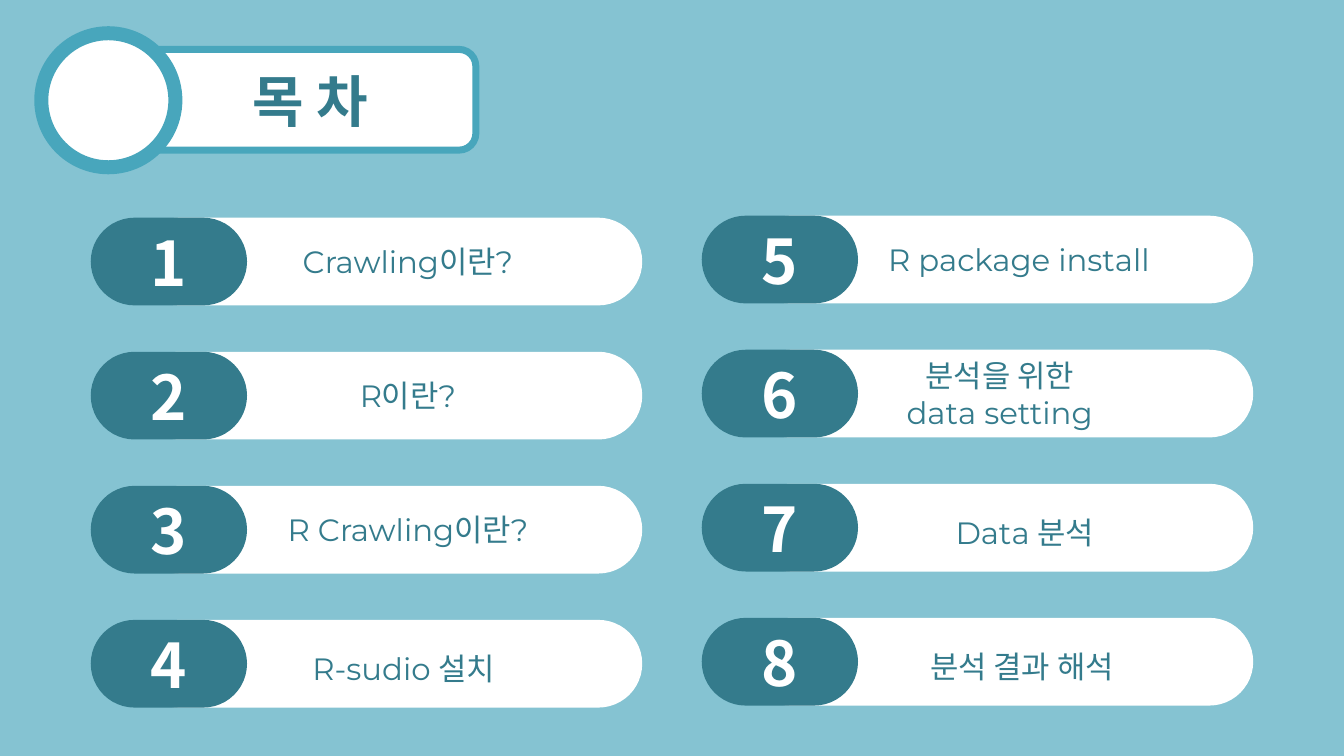
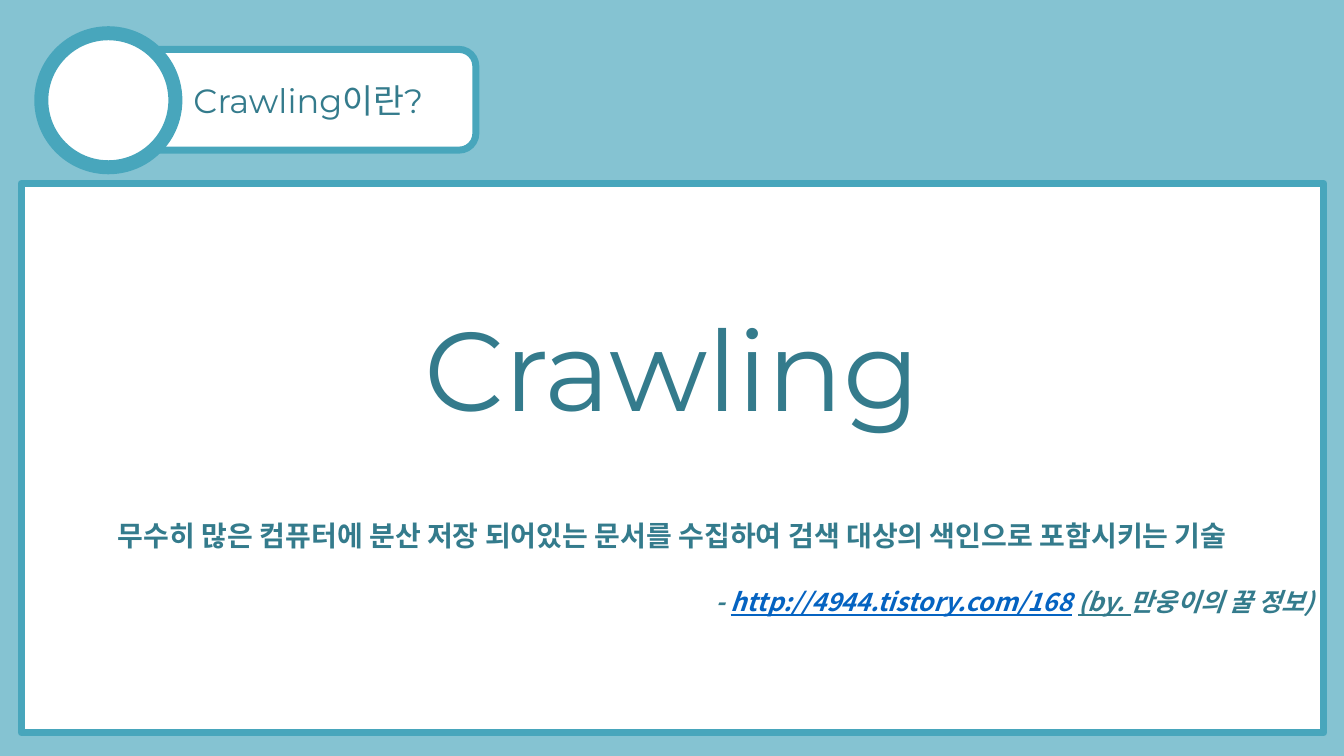
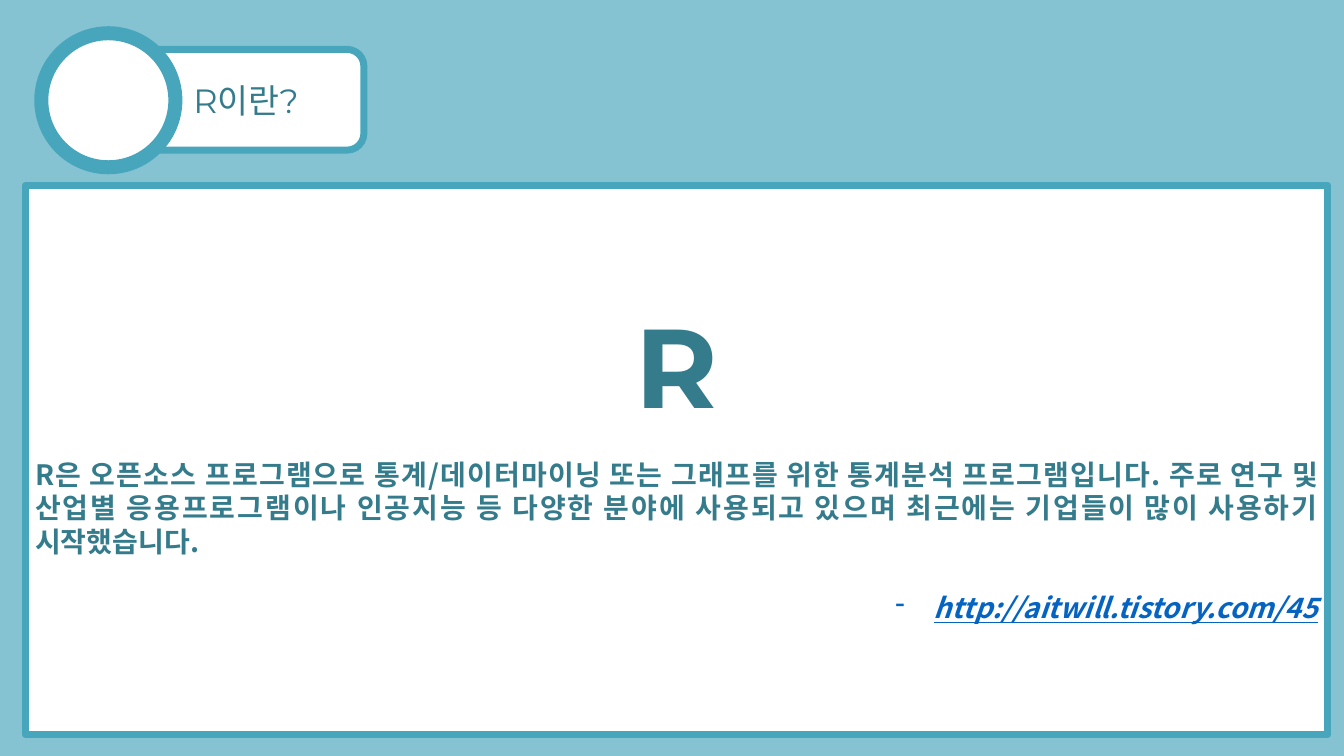
from dataclasses import dataclass

from lxml import etree
from pptx import Presentation
from pptx.dml.color import RGBColor
from pptx.enum.shapes import MSO_SHAPE
from pptx.enum.text import MSO_ANCHOR, PP_ALIGN
from pptx.oxml.ns import qn
from pptx.util import Inches, Pt

RECT, ROUND, OVAL = MSO_SHAPE.RECTANGLE, MSO_SHAPE.ROUNDED_RECTANGLE, MSO_SHAPE.OVAL
TAB = MSO_SHAPE.FLOWCHART_ALTERNATE_PROCESS
MIDDLE = MSO_ANCHOR.MIDDLE
LEFT, CENTER, RIGHT, JUSTIFY = PP_ALIGN.LEFT, PP_ALIGN.CENTER, PP_ALIGN.RIGHT, PP_ALIGN.JUSTIFY


@dataclass(frozen=True)
class Theme:
    back: str = "85C3D2"
    white: str = "FFFFFF"
    edge: str = "48A6BC"
    teal: str = "347B8C"
    link: str = "0563C1"
    latin: str = "Montserrat"
    korean: str = "Noto Sans CJK KR"
    hero: int = 80
    number: int = 44
    contents: int = 40
    heading: int = 24
    item: int = 22
    body: int = 20
    source: int = 18
    leading: int = 24


T = Theme()
ITEM = dict(size=T.item, name=T.latin)
BODY = dict(size=T.body, name=T.korean, bold=True)
SOURCE = dict(BODY, italic=True)
LINK = dict(SOURCE, color=T.link, underline=True)


def add_run(p, text, color=T.teal, **formats):
    r = p.add_run()
    r.text = text
    r.font.color.rgb = RGBColor.from_string(color)
    for key, value in formats.items():
        setattr(r.font, key, Pt(value) if key == "size" else value)
    etree.SubElement(r.font._element, qn("a:ea"), typeface=T.korean)


def write(sp, paragraphs, shift=0, drop=0):
    tf = sp.text_frame
    formats = dict(word_wrap=True, vertical_anchor=MIDDLE,
                   margin_left=Inches(0.1 + shift), margin_top=Inches(0.05 + drop))
    for key, value in formats.items():
        setattr(tf, key, value)
    for i, (formats, runs) in enumerate(paragraphs):
        p = tf.add_paragraph() if i else tf.paragraphs[0]
        for key, value in formats.items():
            setattr(p, key, value)
        for text, style in runs:
            add_run(p, text, **style)
    return tf


def add_box(s, kind, at, fill=T.white, line=0):
    sp = s.shapes.add_shape(kind, *map(Inches, at))
    sp.shadow.inherit = False
    sp.fill.solid()
    sp.fill.fore_color.rgb = RGBColor.from_string(fill)
    if line:
        sp.line.color.rgb = RGBColor.from_string(T.edge)
        sp.line.width = Pt(line)
    else:
        sp.line.fill.background()
    return sp


def add_slide(prs, tab_width):
    s = prs.slides.add_slide(prs.slide_layouts[6])
    s.background.fill.solid()
    s.background.fill.fore_color.rgb = RGBColor.from_string(T.back)
    tab = add_box(s, TAB, (0.98, 0.49, tab_width, 1), line=5)
    add_box(s, OVAL, (0.41, 0.33, 1.33, 1.33), line=10)
    return s, tab


def add_heading(s, text, width):
    sp = s.shapes.add_textbox(*map(Inches, (1.82, 0.74, width, 0.5)))
    style = dict(size=T.heading, name=T.latin)
    write(sp, [(dict(alignment=LEFT), [(text, style)])]).word_wrap = False


def add_panel(s, left, top, paragraphs):
    sp = add_box(s, RECT, (left, top, 12.92, 5.45), line=5)
    return write(sp, paragraphs)


def para(runs, alignment, before):
    return dict(alignment=alignment, space_before=Pt(before), line_spacing=Pt(T.leading)), runs


def hero(text, bold):
    return dict(alignment=CENTER), [(text, dict(size=T.hero, name=T.latin, bold=bold))]


def add_entry(s, left, top, number, lines, shift, drop):
    bar = add_box(s, ROUND, (left + 0.44, top, 5.03, 0.87))
    badge = add_box(s, ROUND, (left, top, 1.55, 0.87), T.teal)
    for sp in (bar, badge):
        sp.adjustments[0] = 0.5
    write(bar, [(dict(alignment=CENTER), [(line, ITEM)]) for line in lines], shift, drop)
    style = dict(size=T.number, name=T.korean, bold=True, color=T.white)
    write(badge, [(dict(alignment=CENTER), [(str(number), style)])])


def add_dash(p):
    pPr = p._p.get_or_add_pPr()
    pPr.set("marL", str(Inches(0.38)))
    pPr.set("indent", str(-Inches(0.38)))
    etree.SubElement(pPr, qn("a:buChar"), char="-")


def contents_slide(prs):
    s, tab = add_slide(prs, 3.74)
    style = dict(size=T.contents, name=T.korean, bold=True)
    write(tab, [(dict(alignment=CENTER), [("목 차", style)])], shift=0.46)
    entries = [
        (["Crawling이란?"], 0.38, 0),
        (["R이란?"], 0.38, 0),
        (["R Crawling이란?"], 0.38, 0),
        (["R-sudio 설치"], 0.3, 0.08),
        (["R package install"], 0.38, 0),
        (["분석을 위한", "data setting"], 0, 0),
        (["Data 분석"], 0.5, 0.08),
        (["분석 결과 해석"], 0.44, 0.08),
    ]
    columns = [(0.9, 2.16), (6.96, 2.14)]
    for i, entry in enumerate(entries):
        col, row = divmod(i, 4)
        left, top = columns[col]
        add_entry(s, left, top + row * 1.33, i + 1, *entry)


def crawling_slide(prs):
    s, _ = add_slide(prs, 3.74)
    small = dict(SOURCE, size=T.source)
    add_panel(s, 0.21, 1.82, [
        hero("Crawling", False),
        para([("무수히 많은 컴퓨터에 분산 저장 되어있는 문서를 수집하여 "
               "검색 대상의 색인으로 포함시키는 기술", BODY)], CENTER, 60),
        para([("- ", small),
              ("http://4944.tistory.com/168", dict(LINK, size=T.source)),
              (" ", small),
              ("(by. ", dict(small, underline=True)),
              ("만웅이의 꿀 정보)", small)], RIGHT, 22),
    ])
    add_heading(s, "Crawling이란?", 2.74)


def r_slide(prs):
    s, _ = add_slide(prs, 2.63)
    tf = add_panel(s, 0.25, 1.84, [
        hero("R", True),
        para([("R은 오픈소스 프로그램으로 통계/데이터마이닝 또는 그래프를 위한 "
               "통계분석 프로그램입니다. 주로 연구 및 산업별 응용프로그램이나 "
               "인공지능 등 다양한 분야에 사용되고 있으며 최근에는 기업들이 많이 "
               "사용하기 시작했습니다.", BODY)], JUSTIFY, 19),
        para([("http://aitwill.tistory.com/45", LINK)], RIGHT, 23),
    ])
    add_dash(tf.paragraphs[-1])
    add_heading(s, "R이란?", 1.37)


def main():
    prs = Presentation()
    prs.slide_width, prs.slide_height = Inches(13.33), Inches(7.5)
    contents_slide(prs)
    crawling_slide(prs)
    r_slide(prs)
    prs.save("out.pptx")


if __name__ == "__main__":
    main()
